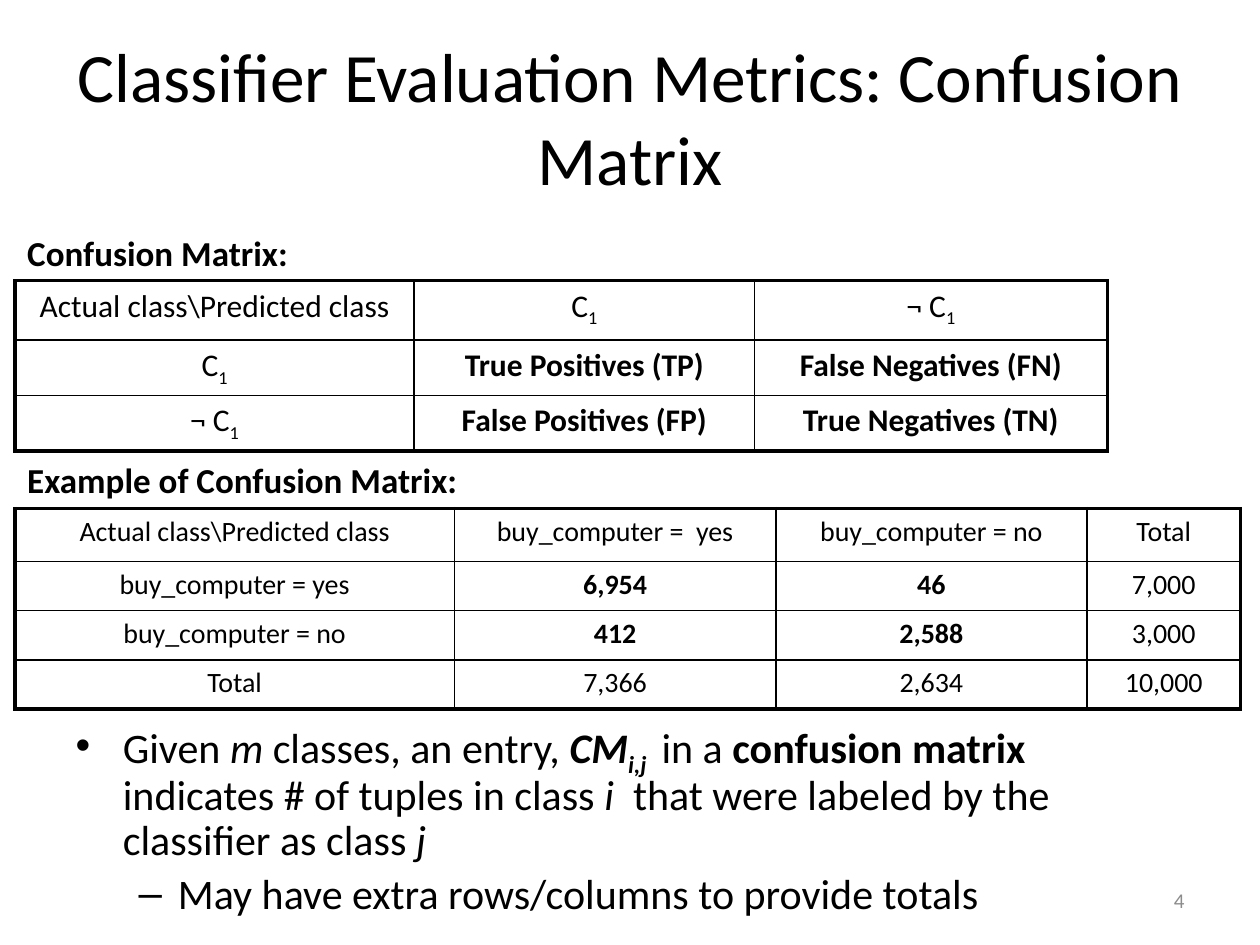
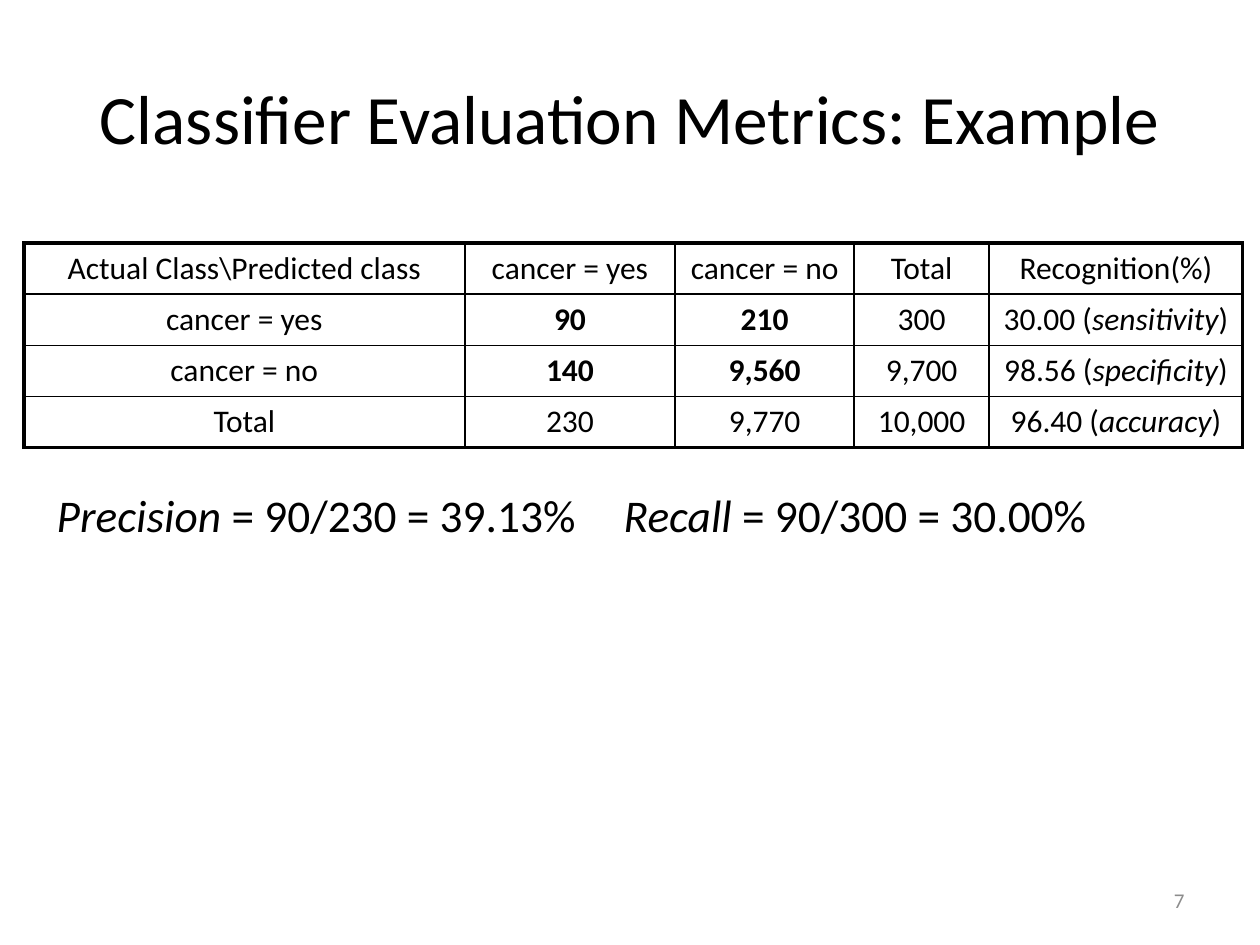
import pptx
import pptx.util
import pptx.dml.color
import pptx.enum.text
import pptx.oxml
import pptx.oxml.ns
import lxml.etree

Cm = pptx.util.Cm
Pt = pptx.util.Pt
ALIGN = pptx.enum.text.PP_ALIGN
ANCHOR = pptx.enum.text.MSO_ANCHOR

COLORS = {"text": "000000", "page_number": "8C8C8C", "border": "000000"}
FONT = "Calibri"
OUTER_BORDER, INNER_BORDER = Pt(2.25), Pt(1)


def write_runs(para, runs, size, color="text"):
    """Add (text, style) runs; style letters: b bold, i italic, s subscript."""
    for text, style in runs:
        span = para.add_run()
        span.text = text
        span.font.name = FONT
        span.font.size = Pt(size)
        span.font.bold = "b" in style
        span.font.italic = "i" in style
        span.font.color.rgb = pptx.dml.color.RGBColor.from_string(COLORS[color])
        if "s" in style:
            span._r.get_or_add_rPr().set("baseline", "-25000")


def add_matrix(page, left, top, widths, heights, size, rows):
    """Add a table with a heavy frame, thin inner rules and bold counts."""
    frame = page.shapes.add_table(len(rows), len(widths), Cm(left), Cm(top),
                                  Cm(sum(widths)), Cm(sum(heights)))
    table = frame.table
    table.first_row = table.horz_banding = False
    for column, width in zip(table.columns, widths):
        column.width = Cm(width)
    for row, height in zip(table.rows, heights):
        row.height = Cm(height)
    last_row, last_col = len(rows) - 1, len(widths) - 1
    for r, row in enumerate(rows):
        for c, content in enumerate(row):
            cell = table.cell(r, c)
            cell.fill.background()
            para = cell.text_frame.paragraphs[0]
            para.alignment = ALIGN.CENTER
            is_count = r in (1, 2) and c in (1, 2)
            if isinstance(content, str):
                content = [(content, "b" if is_count else "")]
            write_runs(para, content, size)
            edges = {"lnL": c == 0, "lnR": c == last_col,
                     "lnT": r == 0, "lnB": r == last_row}
            properties = cell._tc.get_or_add_tcPr()
            for position, (tag, is_outer) in enumerate(edges.items()):
                line = pptx.oxml.parse_xml(
                    f'<a:{tag} {pptx.oxml.ns.nsdecls("a")} '
                    f'w="{OUTER_BORDER if is_outer else INNER_BORDER}">'
                    f'<a:solidFill><a:srgbClr val="{COLORS["border"]}"/></a:solidFill>'
                    f'</a:{tag}>')
                properties.insert(position, line)


deck = pptx.Presentation()
deck.slide_width, deck.slide_height = Cm(25.4), Cm(19.05)

# Titles, page numbers and body positions
pages = []
for title, number, body_place in [
    ("Classifier Evaluation Metrics: Confusion Matrix", "4", (1.27, 14.43, 22.86, 4.24)),
    ("Classifier Evaluation Metrics: Example", "7", (0.89, 9.7, 23.24, 1.7)),
]:
    page = deck.slides.add_slide(deck.slide_layouts[1])
    pages.append(page)
    heading = page.shapes.title
    heading.left, heading.top = Cm(1.27), Cm(0.76)
    heading.width, heading.height = Cm(22.86), Cm(3.18)
    heading.text_frame.auto_size = pptx.enum.text.MSO_AUTO_SIZE.NONE
    heading.text_frame.vertical_anchor = ANCHOR.MIDDLE
    para = heading.text_frame.paragraphs[0]
    para.alignment = ALIGN.CENTER
    write_runs(para, [(title, "")], 39.6)

    body = page.placeholders[1]
    body.left, body.top, body.width, body.height = map(Cm, body_place)
    body.text_frame.auto_size = pptx.enum.text.MSO_AUTO_SIZE.NONE
    body.text_frame.paragraphs[0].space_before = Pt(0)

    box = page.shapes.add_textbox(Cm(18.2), Cm(17.65), Cm(5.93), Cm(1.01))
    box.text_frame.word_wrap = True
    box.text_frame.vertical_anchor = ANCHOR.MIDDLE
    para = box.text_frame.paragraphs[0]
    para.alignment = ALIGN.RIGHT
    write_runs(para, [(number, "")], 12, "page_number")

matrix_page, example_page = pages

# Confusion matrix page
frame = matrix_page.placeholders[1].text_frame
bullet, detail = frame.paragraphs[0], frame.add_paragraph()
detail.level = 1
bullet.line_spacing = detail.line_spacing = 0.9
write_runs(bullet, [
    ("Given ", ""), ("m", "i"), (" classes, an entry, ", ""),
    ("CM", "bi"), ("i,j ", "bis"), (" in a ", ""), ("confusion matrix", "b"),
    (" indicates # of tuples in class ", ""), ("i", "i"),
    ("  that were labeled by the classifier as class ", ""), ("j", "i"),
], 24)
write_runs(detail, [("May have extra rows/columns to provide totals", "")], 24)

for caption, top in [("Confusion Matrix:", 4.55), ("Example of Confusion Matrix:", 9.12)]:
    box = matrix_page.shapes.add_textbox(Cm(0.3), Cm(top), Cm(9.58), Cm(1.11))
    box.text_frame.word_wrap = True
    write_runs(box.text_frame.paragraphs[0], [(caption, "b")], 20)

positive = [("C", ""), ("1", "s")]
negative = [("¬ C", ""), ("1", "s")]
add_matrix(matrix_page, 0.3, 5.66, [8.05, 6.86, 7.11], [1.19, 1.12, 1.12], 18, [
    ["Actual class\\Predicted class", positive, negative],
    [positive, "True Positives (TP)", "False Negatives (FN)"],
    [negative, "False Positives (FP)", "True Negatives (TN)"],
])
add_matrix(matrix_page, 0.3, 10.25, [8.86, 6.48, 6.27, 3.1], [1.07] + [0.99] * 3, 16, [
    ["Actual class\\Predicted class", "buy_computer =  yes", "buy_computer = no", "Total"],
    ["buy_computer = yes", "6,954", "46", "7,000"],
    ["buy_computer = no", "412", "2,588", "3,000"],
    ["Total", "7,366", "2,634", "10,000"],
])

# Example page
para = example_page.placeholders[1].text_frame.paragraphs[0]
properties = para._p.get_or_add_pPr()
properties.set("marL", "0")
properties.set("indent", "0")
lxml.etree.SubElement(properties, pptx.oxml.ns.qn("a:buNone"))
tabs = lxml.etree.SubElement(properties, pptx.oxml.ns.qn("a:tabLst"))
lxml.etree.SubElement(tabs, pptx.oxml.ns.qn("a:tab"), pos=str(Cm(13.15)), algn="l")
write_runs(para, [
    ("Precision", "i"), (" = 90/230 = 39.13%\t", ""),
    ("Recall", "i"), (" = 90/300 = 30.00%", ""),
], 25.9)

rates = [[(f"{value} (", ""), (name, "i"), (")", "")] for value, name in [
    ("30.00", "sensitivity"), ("98.56", "specificity"), ("96.40", "accuracy")]]
add_matrix(example_page, 0.48, 4.9, [8.89, 4.24, 3.61, 2.72, 5.11], [1.03] * 4, 18, [
    ["Actual Class\\Predicted class", "cancer = yes", "cancer = no", "Total", "Recognition(%)"],
    ["cancer = yes", "90", "210", "300", rates[0]],
    ["cancer = no", "140", "9,560", "9,700", rates[1]],
    ["Total", "230", "9,770", "10,000", rates[2]],
])

deck.save("out.pptx")
